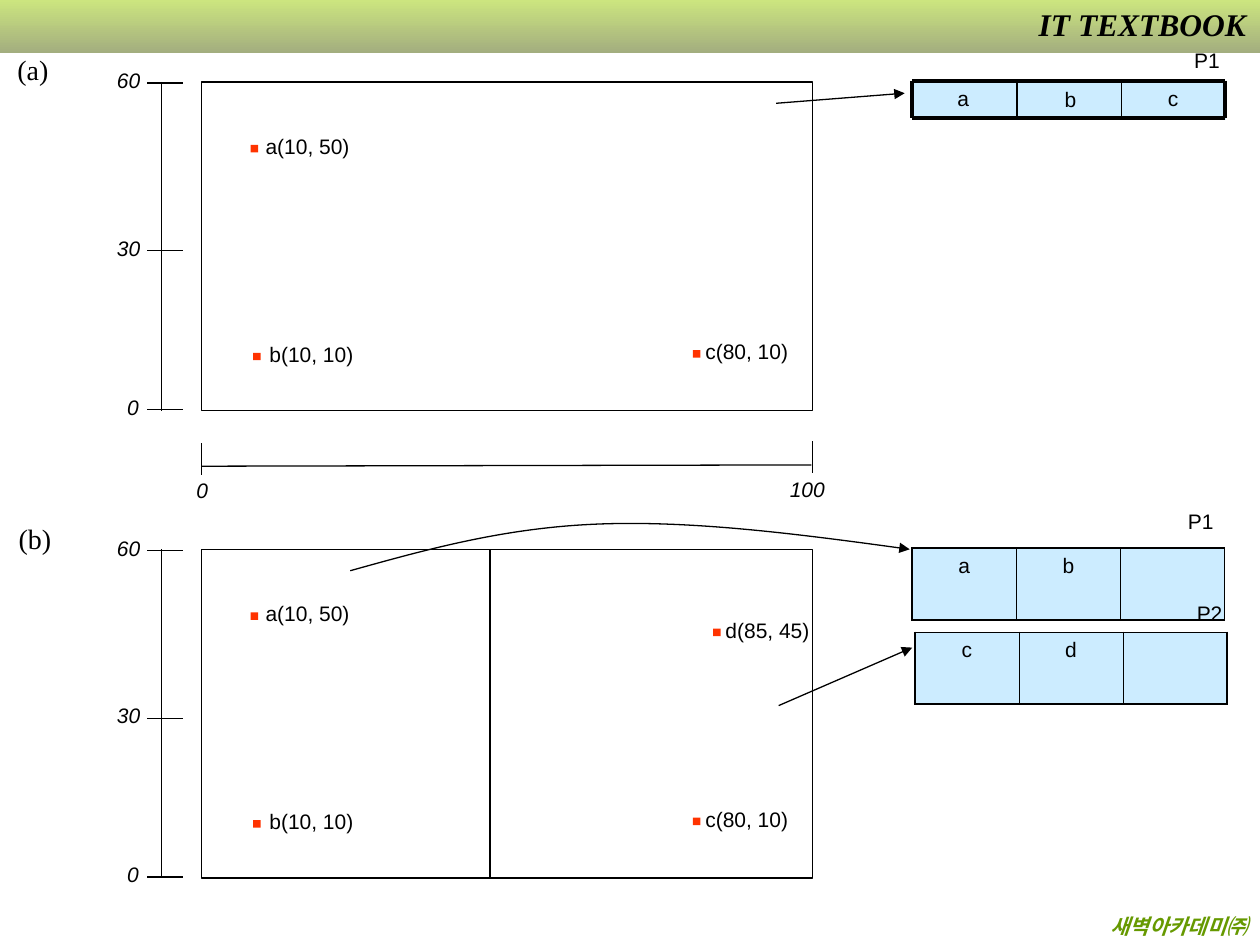
"""Build a slide showing how a grid page splits from one bucket (a) into two (b)."""
from lxml.etree import SubElement
from pptx import Presentation
from pptx.dml.color import RGBColor
from pptx.enum.shapes import MSO_CONNECTOR, MSO_SHAPE
from pptx.enum.text import MSO_ANCHOR, MSO_AUTO_SIZE, PP_ALIGN
from pptx.oxml.ns import qn
from pptx.util import Inches, Pt

BLACK = RGBColor(0x00, 0x00, 0x00)
RED = RGBColor(0xFF, 0x33, 0x00)
PALE_BLUE = RGBColor(0xCC, 0xEC, 0xFF)
LIME = RGBColor(0xCC, 0xE5, 0x7F)
OLIVE = RGBColor(0xA3, 0xAE, 0x7F)
GREEN = RGBColor(0x66, 0x99, 0x00)
SERIF, SANS = "Times New Roman", "Arial"

prs = Presentation()
prs.slide_width, prs.slide_height = Inches(10), Inches(7.5)
slide = prs.slides.add_slide(prs.slide_layouts[5])
shapes = slide.shapes


def add_label(text, left, top, width, height=0.3, size=12, font=SANS, italic=False):
    label = shapes.add_textbox(Inches(left), Inches(top), Inches(width), Inches(height))
    frame = label.text_frame
    frame.text = text
    frame.word_wrap = False
    frame.auto_size = MSO_AUTO_SIZE.SHAPE_TO_FIT_TEXT
    frame.margin_right = Inches(0.05)
    run_font = frame.paragraphs[0].runs[0].font
    run_font.name, run_font.size, run_font.italic = font, Pt(size), italic
    run_font.color.rgb = BLACK
    return label


def add_line(x1, y1, x2, y2, width=0.75):
    line = shapes.add_connector(
        MSO_CONNECTOR.STRAIGHT, Inches(x1), Inches(y1), Inches(x2), Inches(y2))
    line.line.color.rgb = BLACK
    line.line.width = Pt(width)
    SubElement(line._element.spPr, qn("a:effectLst"))
    return line


band = shapes.add_shape(MSO_SHAPE.RECTANGLE, 0, 0, Inches(10), Inches(0.42))
band.shadow.inherit = False
band.line.fill.background()
band.fill.gradient()
band.fill.gradient_angle = 270
for stop, color in zip(band.fill.gradient_stops, (LIME, OLIVE)):
    stop.color.rgb = color
shapes._spTree.remove(band._element)
shapes._spTree.insert(2, band._element)

series = shapes.title
series.left, series.top = Inches(7.88), Inches(-0.01)
series.width, series.height = Inches(2.11), Inches(0.4)
series.text_frame.text = "IT TEXTBOOK"
series.text_frame.vertical_anchor = MSO_ANCHOR.TOP
series.text_frame.word_wrap = True
publisher = add_label("새벽아카데미㈜", 0.06, 7.2, 9.94)
publisher.text_frame.word_wrap = True
publisher.text_frame.margin_right = Inches(0.1)
for box, size, color in ((series, 18, BLACK), (publisher, 12, GREEN)):
    paragraph = box.text_frame.paragraphs[0]
    paragraph.alignment = PP_ALIGN.RIGHT
    font = paragraph.runs[0].font
    font.name, font.size, font.bold, font.italic = SERIF, Pt(size), True, True
    font.color.rgb = color

POINTS_A = [("a(10, 50)", 1.99, 1.15, 2.01), ("b(10, 10)", 2.01, 2.8, 2.04),
            ("c(80, 10)", 5.5, 2.78, 5.5)]
POINTS_B = POINTS_A + [("d(85, 45)", 5.66, 1.28, 5.66)]
for caption, caption_left, caption_top, offset, points in (
        ("(a)", 0.04, 0.37, 0, POINTS_A), ("(b)", 0.05, 4.09, 3.71, POINTS_B)):
    add_label(caption, caption_left, caption_top, 0.46, 0.37, 16, SERIF)
    region = shapes.add_shape(
        MSO_SHAPE.RECTANGLE, Inches(1.6), Inches(0.65 + offset), Inches(4.85), Inches(2.61))
    region.shadow.inherit = False
    region.fill.background()
    region.line.color.rgb = BLACK
    region.line.width = Pt(0.75)
    add_line(1.28, 0.65 + offset, 1.28, 3.26 + offset)
    for value, left, width, tick in (
            ("60", 0.83, 0.38, 0.66), ("30", 0.83, 0.38, 1.99), ("0", 0.91, 0.29, 3.25)):
        add_line(1.17, tick + offset, 1.45, tick + offset)
        add_label(value, left, tick - 0.17 + offset, width, italic=True)
    for name, x, y, name_left in points:
        dot = shapes.add_shape(
            MSO_SHAPE.RECTANGLE, Inches(x), Inches(y + offset), Inches(0.06), Inches(0.06))
        dot.shadow.inherit = False
        dot.fill.solid()
        dot.fill.fore_color.rgb = RED
        dot.line.fill.background()
        add_label(name, name_left, y - 0.14 + offset, 0.86)

add_line(1.6, 3.7, 6.44, 3.69)
add_line(1.6, 3.52, 1.6, 3.77)
add_line(6.45, 3.5, 6.45, 3.75)
add_label("0", 1.46, 3.74, 0.29, italic=True)
add_label("100", 6.17, 3.73, 0.48, italic=True)
add_line(3.89, 4.36, 3.89, 6.96)

for i in range(3):
    slot = shapes.add_shape(
        MSO_SHAPE.RECTANGLE, Inches(7.24 + 0.83 * i), Inches(0.64), Inches(0.83), Inches(0.31))
    slot.shadow.inherit = False
    slot.fill.solid()
    slot.fill.fore_color.rgb = PALE_BLUE
    slot.line.fill.background()
for y in (0.64, 0.94):
    add_line(7.24, y, 9.72, y, 2.25)
for x, width in ((7.24, 2.25), (8.07, 1), (8.9, 1), (9.72, 2.25)):
    add_line(x, 0.64, x, 0.94, width)
for letter, left, top, width in (
        ("a", 7.5, 0.63, 0.29), ("b", 8.35, 0.64, 0.29), ("c", 9.17, 0.63, 0.28)):
    add_label(letter, left, top, width)

for left, top, letters in ((7.24, 4.35, ("a", "b", "")), (7.26, 5.02, ("c", "d", ""))):
    bucket = shapes.add_table(
        1, 3, Inches(left), Inches(top), Inches(2.48), Inches(0.57)).table
    bucket.first_row = bucket.horz_banding = False
    for i, letter in enumerate(letters):
        cell = bucket.cell(0, i)
        cell.text_frame.text = letter
        paragraph = cell.text_frame.paragraphs[0]
        paragraph.alignment = PP_ALIGN.CENTER
        paragraph.font.size = Pt(12)
        for run in paragraph.runs:
            run.font.name, run.font.size = SANS, Pt(12)
            run.font.color.rgb = BLACK
        left_width = 1.08 if i == 0 else 0.45
        right_width = 1.08 if i == 2 else 0.45
        for side, width in (("L", left_width), ("R", right_width), ("T", 1.08), ("B", 1.08)):
            border = SubElement(
                cell._tc.get_or_add_tcPr(), qn(f"a:ln{side}"), w=str(Pt(width)))
            SubElement(SubElement(border, qn("a:solidFill")), qn("a:srgbClr"), val=str(BLACK))
        cell.fill.solid()
        cell.fill.fore_color.rgb = PALE_BLUE

for page, left, top in (("P1", 9.38, 0.33), ("P1", 9.33, 3.99), ("P2", 9.4, 4.72)):
    add_label(page, left, top, 0.4)

CURVE = [(3.39, 4.36), (4, 4.19), (4.74, 4.16), (5.48, 4.13), (6.35, 4.24), (7.22, 4.36)]
builder = shapes.build_freeform(Inches(2.78), Inches(4.53))
builder.add_line_segments([(Inches(x), Inches(y)) for x, y in CURVE], close=False)
curve = builder.convert_to_shape()
curve.shadow.inherit = False
curve.fill.background()
curve.line.color.rgb = BLACK
curve.line.width = Pt(0.75)
outline = next(curve._element.iter(qn("a:path")))
segments = outline.findall(qn("a:lnTo"))
for start in range(0, len(segments), 3):
    bezier = SubElement(outline, qn("a:cubicBezTo"))
    for segment in segments[start:start + 3]:
        bezier.append(segment[0])
        outline.remove(segment)

to_p1 = add_line(6.16, 0.82, 7.18, 0.74)
to_p2 = add_line(6.18, 5.6, 7.24, 5.14)
for pointer in (to_p1, curve, to_p2):
    SubElement(pointer.line._get_or_add_ln(), qn("a:tailEnd"), type="triangle")

prs.save("out.pptx")
